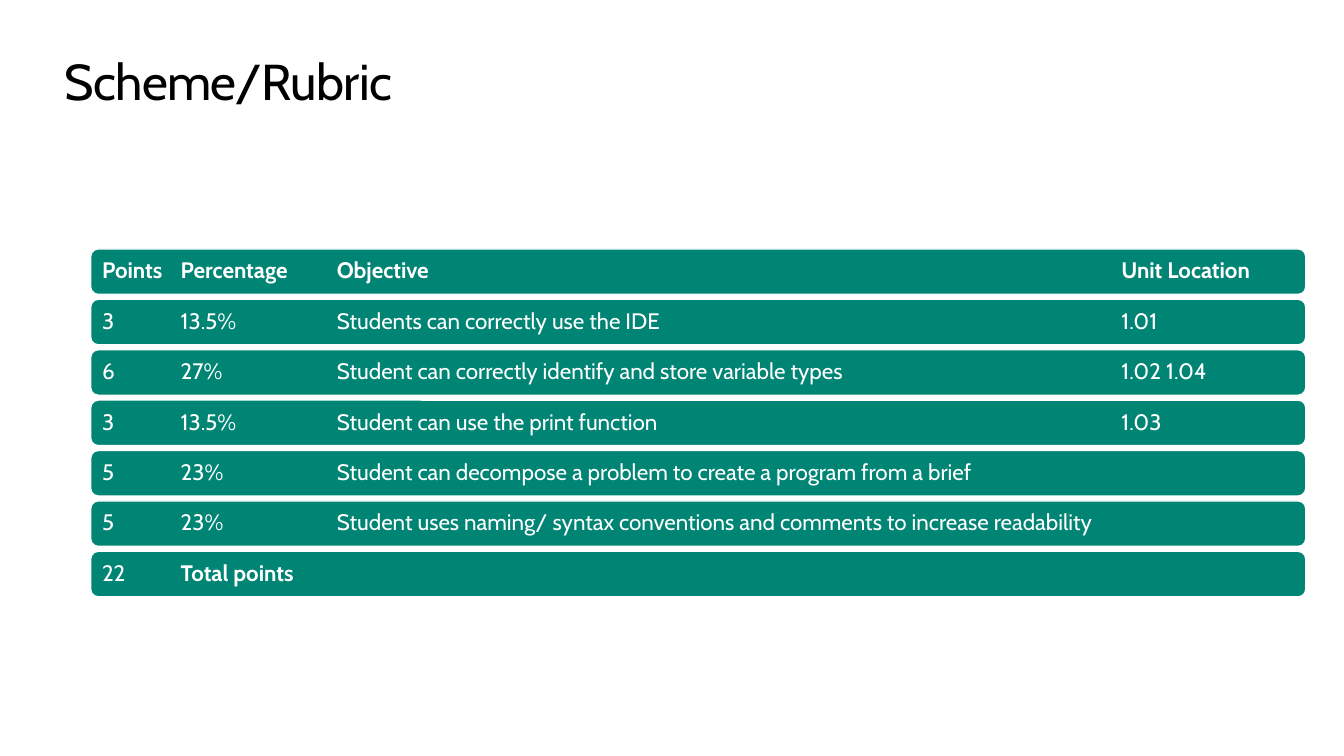
import pptx
import pptx.dml.color
import pptx.enum.shapes
import pptx.enum.text
import pptx.oxml.ns
import pptx.util
from lxml import etree
from pptx.util import Inches

BLACK = pptx.dml.color.RGBColor(0x00, 0x00, 0x00)
WHITE = pptx.dml.color.RGBColor(0xFF, 0xFF, 0xFF)
TEAL = pptx.dml.color.RGBColor(0x00, 0x85, 0x75)

# Each row: points, percentage, objective, unit location
HEADER = ("Points", "Percentage", "Objective", "Unit Location")
CRITERIA = [
    ("3", "13.5%", "Students can correctly use the IDE", "1.01"),
    ("6", "27%", "Student can correctly identify and store variable types", "1.02 1.04"),
    ("3", "13.5%", "Student can use the print function", "1.03"),
    ("5", "23%", "Student can decompose a problem to create a program from a brief"),
    ("5", "23%", "Student uses naming/ syntax conventions and comments to increase readability"),
]
COLUMN_STOPS = (0.78, 2.33, 10.11)
FIRST_ROW_TOP = 2.47
ROW_PITCH = 0.5


def add_text(para, text, size=16, color=WHITE, bold=False, spacing=None, font="Cabin"):
    span = para.add_run()
    span.text = text
    span.font.name = font
    span.font.size = pptx.util.Pt(size)
    span.font.bold = bold
    span.font.color.rgb = color
    if spacing is not None:
        span._r.get_or_add_rPr().set("spc", str(round(spacing * 100)))
    return span


def set_tab_stops(para, stops):
    properties = para._p.get_or_add_pPr()
    tab_list = etree.SubElement(properties, pptx.oxml.ns.qn("a:tabLst"))
    for stop in stops:
        tab = etree.SubElement(tab_list, pptx.oxml.ns.qn("a:tab"))
        tab.set("pos", str(Inches(stop)))
        tab.set("algn", "l")


class RubricSlide:
    def __init__(self, deck):
        self.slide = deck.slides.add_slide(deck.slide_layouts[5])
        self.left = 0.9
        self.width = 12.05
        self.row_height = 0.45

    def add_title(self, text):
        title = self.slide.shapes.title
        title.left, title.top = Inches(0.64), Inches(0.5)
        title.width, title.height = Inches(12.05), Inches(0.61)
        frame = title.text_frame
        frame.margin_left = frame.margin_right = 0
        frame.margin_top = frame.margin_bottom = 0
        frame.vertical_anchor = pptx.enum.text.MSO_ANCHOR.TOP
        para = frame.paragraphs[0]
        para.alignment = pptx.enum.text.PP_ALIGN.LEFT
        add_text(para, text, size=36, color=BLACK, spacing=-0.5)

    def add_row(self, top, spans):
        """Draw one bar; spans are (text, bold) pairs."""
        bar = self.slide.shapes.add_shape(
            pptx.enum.shapes.MSO_SHAPE.ROUNDED_RECTANGLE,
            Inches(self.left), Inches(top), Inches(self.width), Inches(self.row_height))
        bar.shadow.inherit = False
        bar.fill.solid()
        bar.fill.fore_color.rgb = TEAL
        bar.line.color.rgb = WHITE
        bar.line.width = pptx.util.Pt(0.85)

        frame = bar.text_frame
        frame.word_wrap = True
        frame.margin_left = frame.margin_right = Inches(0.09)
        frame.margin_top = frame.margin_bottom = Inches(0.07)
        frame.vertical_anchor = pptx.enum.text.MSO_ANCHOR.MIDDLE
        para = frame.paragraphs[0]
        set_tab_stops(para, COLUMN_STOPS)
        para.alignment = pptx.enum.text.PP_ALIGN.LEFT
        para.line_spacing = 0.9
        for text, bold in spans:
            add_text(para, text, bold=bold)


def main():
    deck = pptx.Presentation()
    deck.slide_width, deck.slide_height = Inches(13.33), Inches(7.5)
    page = RubricSlide(deck)

    # Title
    page.add_title("Scheme/Rubric")

    # Rubric rows: header, criteria, total
    rows = [[("\t".join(HEADER), True)]]
    rows += [[("\t".join(cells), False)] for cells in CRITERIA]
    rows.append([("22\t", False), ("Total points", True)])
    for index, spans in enumerate(rows):
        page.add_row(FIRST_ROW_TOP + index * ROW_PITCH, spans)

    deck.save("out.pptx")


if __name__ == "__main__":
    main()
